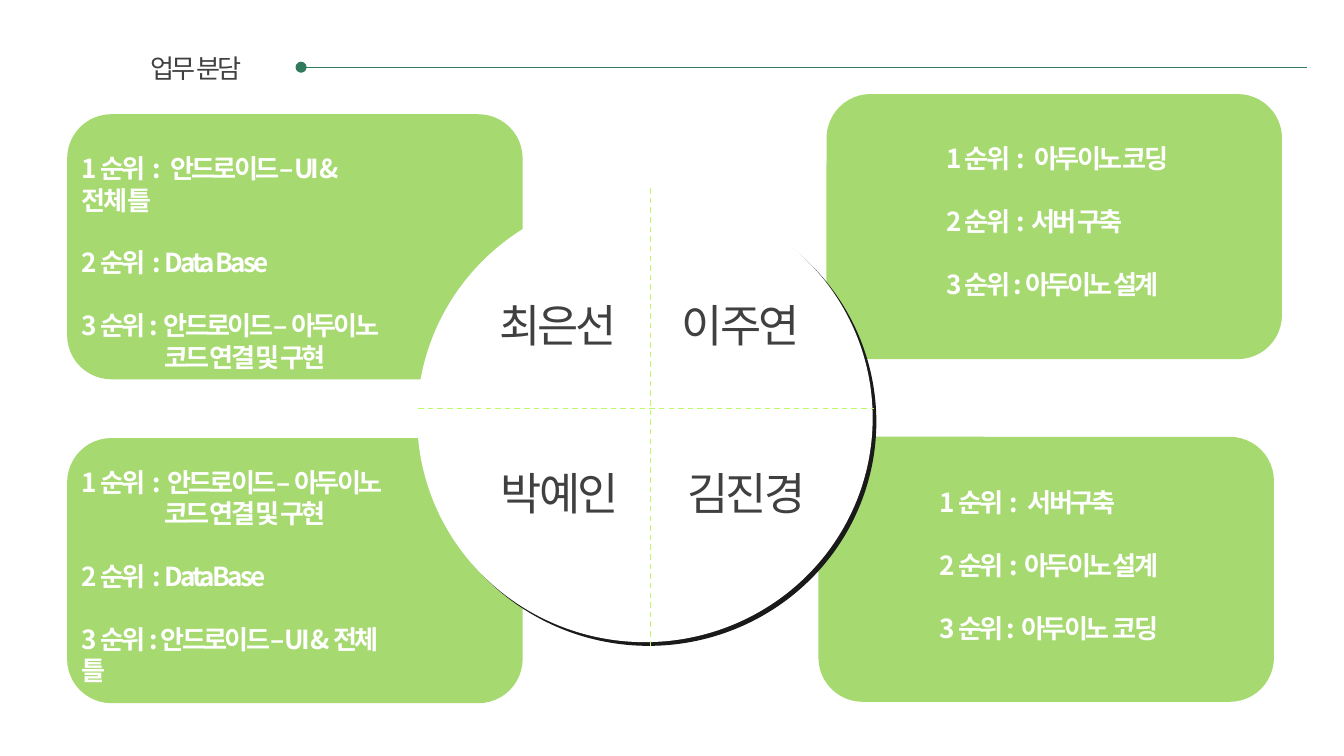
from pptx import Presentation
from pptx.dml.color import RGBColor
from pptx.enum.dml import MSO_LINE
from pptx.enum.shapes import MSO_CONNECTOR, MSO_SHAPE
from pptx.enum.text import MSO_ANCHOR, MSO_AUTO_SIZE, PP_ALIGN
from pptx.oxml.ns import qn
from pptx.util import Pt
from lxml import etree

STRAIGHT = MSO_CONNECTOR.STRAIGHT
ROUNDED, ELLIPSE = MSO_SHAPE.ROUNDED_RECTANGLE, MSO_SHAPE.OVAL
LEFT, CENTER = PP_ALIGN.LEFT, PP_ALIGN.CENTER

WHITE = RGBColor(0xFF, 0xFF, 0xFF)
GREEN = RGBColor(0xA7, 0xD9, 0x71)
LIME = RGBColor(0xBC, 0xFA, 0x6A)
DARK_GREEN = RGBColor(0x32, 0x7A, 0x5D)
GRAY = RGBColor(0x40, 0x40, 0x40)
BLACK = RGBColor(0x1A, 0x1A, 0x1A)
FONT = "Noto Sans CJK KR"

TITLE = "업무 분담"
HANG = 44  # indent of a continued task
# name, name centre and top, card corner, list box, tasks: (first line, second line, indent)
MEMBERS = [
    ("최은선", (299, 156), (36, 61.2), (36.7, 78.2, 208, 109), [
        ("1 순위  :   안드로이드 –UI &", "전체 틀", 0),
        ("2 순위  :  Data Base", "", 0),
        ("3 순위 :  안드로이드 –  아두이노", "코드 연결 및 구현", HANG)]),
    ("이주연", (397, 156), (442.8, 50.4), (499.7, 72.8, 154, 92), [
        ("1 순위  :   아두이노 코딩", "", 0),
        ("2 순위  :  서버 구축", "", 0),
        ("3 순위 : 아두이노 설계", "", 0)]),
    ("박예인", (300, 246), (36, 234.7), (36.7, 246.3, 208, 109), [
        ("1 순위  :  안드로이드 –  아두이노", "코드 연결 및 구현", HANG),
        ("2 순위  :  DataBase", "", 0),
        ("3 순위 : 안드로이드 –UI & 전체", "틀", 0)]),
    ("김진경", (400, 246), (438.5, 234), (496.1, 257, 154, 92), [
        ("1 순위  :   서버구축", "", 0),
        ("2 순위  :  아두이노 설계", "", 0),
        ("3 순위 :  아두이노  코딩", "", 0)]),
]
CARD_SIZE = (244, 142)
CIRCLE = (223.5, 104, 244, 240)
SHADE_OFFSET = 2
NAME_SIZE = (100, 36)
LINE_RATIO = 1.2  # line pitch as a multiple of the text size


def points(values):
    return [Pt(v) for v in values]


def add_filled(kind, box, color):
    shape = slide.shapes.add_shape(kind, *points(box))
    shape.shadow.inherit = False
    shape.fill.solid()
    shape.fill.fore_color.rgb = color
    shape.line.fill.background()


def add_line(start, end, color):
    line = slide.shapes.add_connector(STRAIGHT, *points(start + end))
    line.line.color.rgb = color
    line.line.width = Pt(0.75)
    etree.SubElement(line._element.spPr, qn("a:effectLst"))
    return line


def place(holder, box):
    """Move a text shape to its box, on top of what is drawn so far."""
    holder.left, holder.top, holder.width, holder.height = points(box)
    slide.shapes._spTree.append(holder._element)
    frame = holder.text_frame
    frame.word_wrap = True
    frame.auto_size = MSO_AUTO_SIZE.NONE
    frame.vertical_anchor = MSO_ANCHOR.TOP
    frame.margin_left = frame.margin_right = Pt(7.2)
    frame.margin_top = frame.margin_bottom = Pt(3.6)
    return frame


def write(paragraph, text, size, color, align, bold=False, before=0, indent=0):
    props = paragraph._p.get_or_add_pPr()
    props.set("marL", str(Pt(indent)))
    props.set("indent", "0")
    etree.SubElement(props, qn("a:buNone"))
    paragraph.alignment = align
    paragraph.line_spacing = Pt(size * LINE_RATIO)
    paragraph.space_before = Pt(before)
    paragraph.space_after = Pt(0)
    run = paragraph.add_run()
    run.text = text
    font = run.font
    font.size, font.bold, font.name = Pt(size), bold, FONT
    font.color.rgb = color
    run_props = run._r.get_or_add_rPr()
    run_props.set("spc", "-150")
    etree.SubElement(run_props, qn("a:ea"), typeface=FONT)


def write_tasks(frame, tasks):
    size = 14
    paragraph = frame.paragraphs[0]
    for number, (first, second, indent) in enumerate(tasks):
        if number:
            paragraph = frame.add_paragraph()
        gap = size * LINE_RATIO if number else 0
        write(paragraph, first, size, WHITE, LEFT, True, gap)
        if second:
            write(frame.add_paragraph(), second, size, WHITE, LEFT, True, 0, indent)


prs = Presentation()
prs.slide_width, prs.slide_height = Pt(720), Pt(405)
slide = prs.slides.add_slide(prs.slide_layouts[4])  # title and four bodies
title, *task_lists = slide.placeholders

for _, _, corner, _, _ in MEMBERS:
    add_filled(ROUNDED, corner + CARD_SIZE, GREEN)

rule = add_line((161.3, 36), (700, 36), DARK_GREEN)
etree.SubElement(rule.line._get_or_add_ln(), qn("a:headEnd"), type="oval")

left, top, width, height = CIRCLE
add_filled(ELLIPSE, (left + SHADE_OFFSET, top + SHADE_OFFSET, width, height), BLACK)
add_filled(ELLIPSE, CIRCLE, WHITE)

write(place(title, (3, 24.5, 204, 24.5)).paragraphs[0], TITLE, 14, GRAY, CENTER)

for task_list, (name, (center, name_top), _, box, tasks) in zip(task_lists, MEMBERS):
    write_tasks(place(task_list, box), tasks)
    name_box = (center - NAME_SIZE[0] / 2, name_top) + NAME_SIZE
    label = slide.shapes.add_textbox(*points(name_box))
    write(place(label, name_box).paragraphs[0], name, 24, GRAY, CENTER)

for start, end in [((348.5, 100.8), (348.5, 346.3)), ((224, 218.9), (468, 218.9))]:
    add_line(start, end, LIME).line.dash_style = MSO_LINE.DASH

prs.save("out.pptx")
